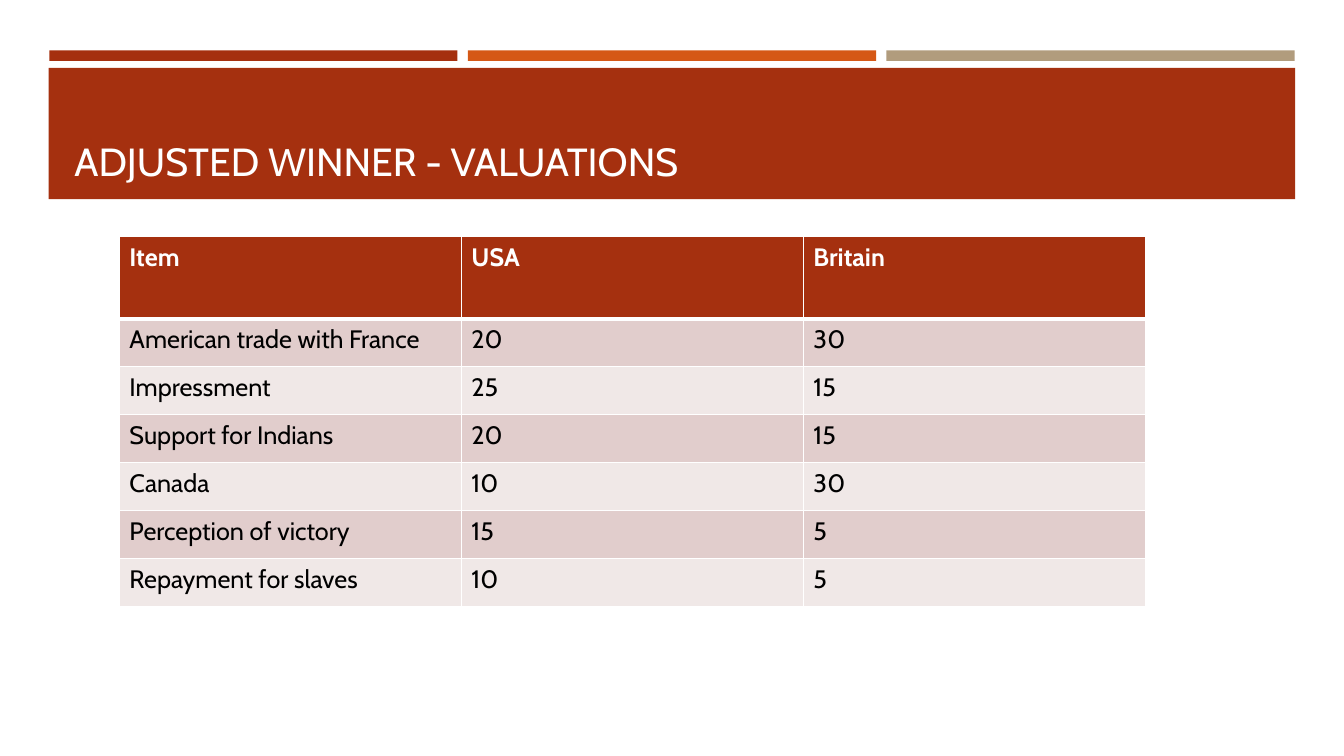
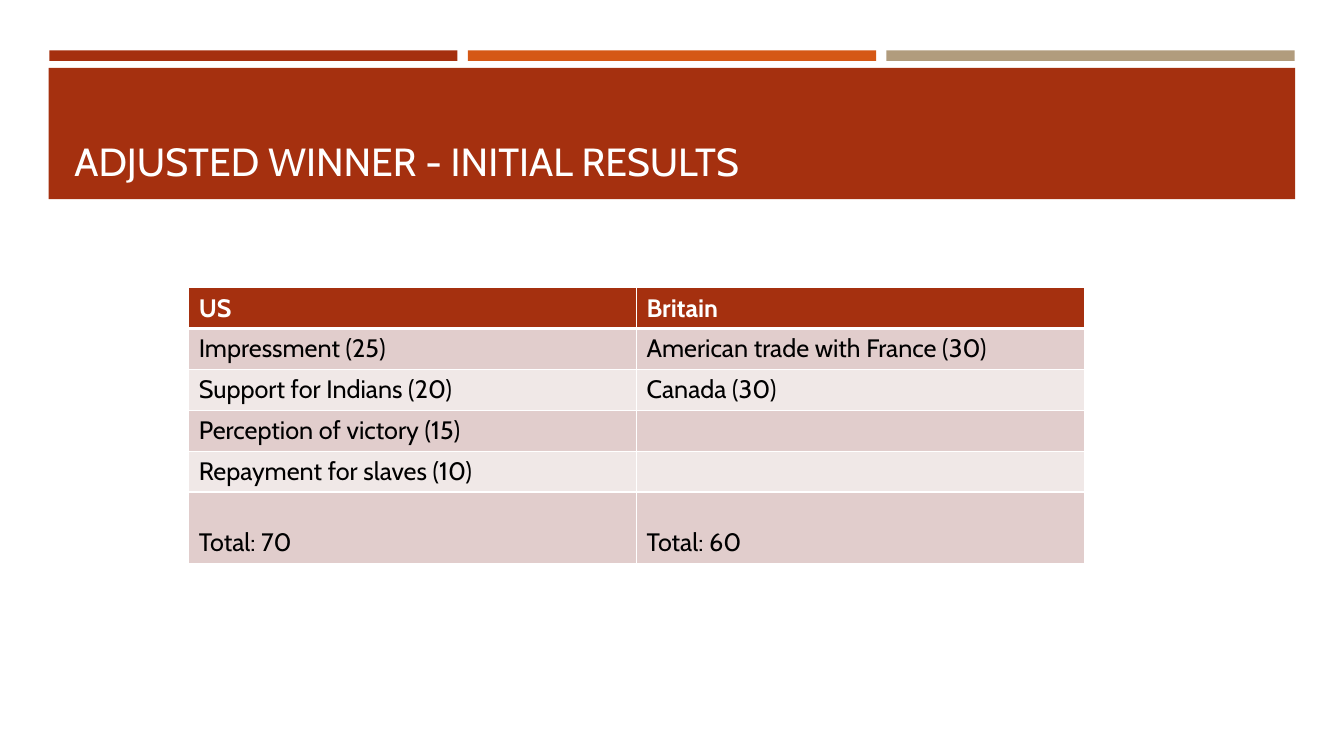
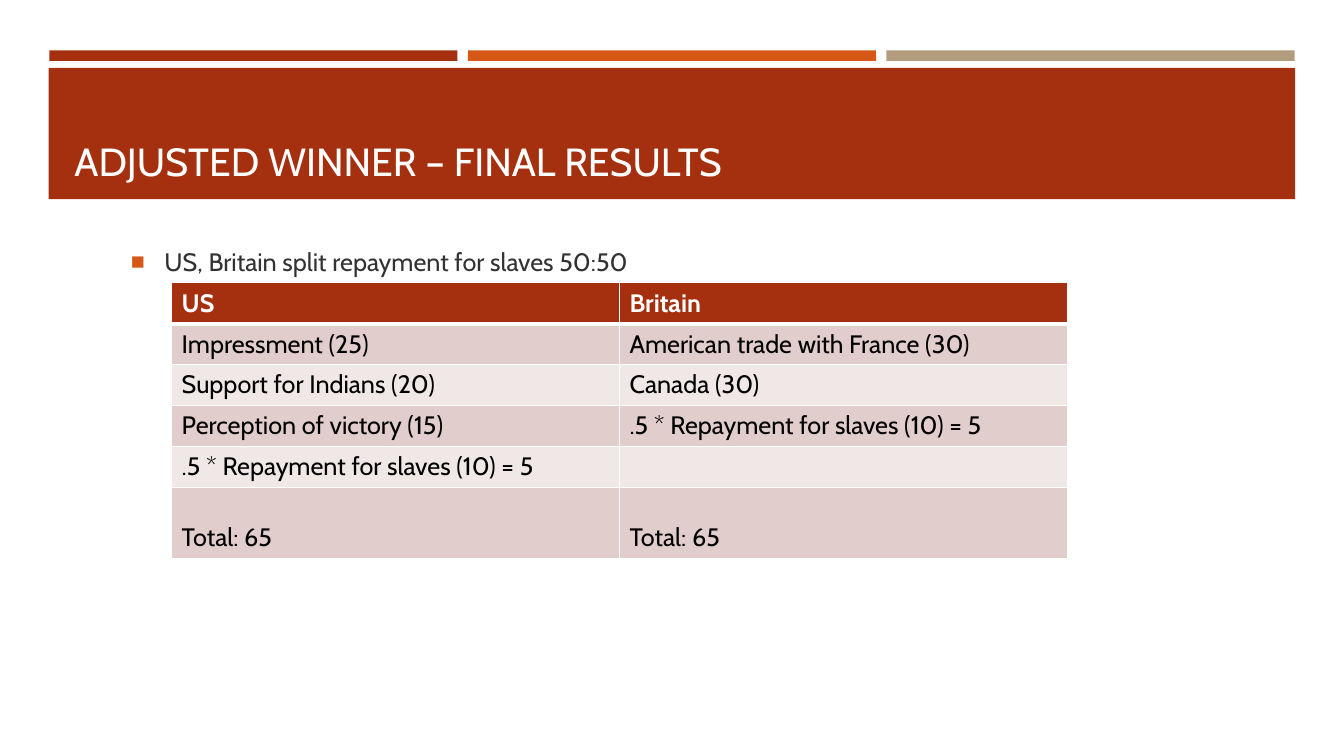
from lxml.etree import SubElement
from pptx import Presentation
from pptx.dml.color import RGBColor
from pptx.enum.shapes import MSO_SHAPE
from pptx.enum.text import MSO_ANCHOR
from pptx.oxml.ns import qn
from pptx.util import Pt

COLORS = {
    "rust": "A5300F", "orange": "D55816", "tan": "B19C7D",
    "rose": "E1CDCC", "blush": "F0E8E7",
    "white": "FFFFFF", "black": "000000", "gray": "323232",
}


def rgb(name):
    return RGBColor.from_string(COLORS[name])


class DeckBuilder:
    font = "Cabin"
    title_format = {"size": Pt(28)}
    text_format = {"size": Pt(18)}
    header_format = {"size": Pt(18), "bold": True}

    def __init__(self):
        self.deck = Presentation()
        self.deck.slide_width, self.deck.slide_height = Pt(960), Pt(540)
        self.page = None

    def add_page(self, title):
        self.page = self.deck.slides.add_slide(self.deck.slide_layouts[6])
        for index, color in enumerate(("rust", "orange", "tan")):
            self.add_band(35.2 + index * 299, 36, 291.6, 7.5, color)
        self.add_band(34.8, 48.5, 890.4, 93.8, "rust")
        self.add_text(title, (46.1, 55.4, 868.3, 79.9), MSO_ANCHOR.BOTTOM,
                      "white", self.title_format)

    def add_band(self, left, top, width, height, color):
        band = self.page.shapes.add_shape(
            MSO_SHAPE.RECTANGLE, Pt(left), Pt(top), Pt(width), Pt(height))
        band.shadow.inherit = False
        band.fill.solid()
        band.fill.fore_color.rgb = rgb(color)
        band.line.fill.background()

    def add_span(self, para, text, color, formats):
        span = para.add_run()
        span.text = text
        span.font.name = self.font
        span.font.color.rgb = rgb(color)
        for name, value in formats.items():
            setattr(span.font, name, value)

    def add_text(self, text, place, anchor, color, formats):
        box = self.page.shapes.add_textbox(*map(Pt, place))
        frame = box.text_frame
        frame.word_wrap = True
        frame.vertical_anchor = anchor
        para = frame.paragraphs[0]
        self.add_span(para, text, color, formats)
        return para

    def add_bullet(self, text, place):
        para = self.add_text(text, place, MSO_ANCHOR.MIDDLE, "gray", self.text_format)
        para.space_before, para.space_after = Pt(3.6), Pt(6)
        properties = para._p.get_or_add_pPr()
        properties.set("marL", str(Pt(24)))
        properties.set("indent", str(-Pt(24)))
        color = SubElement(properties, qn("a:buClr"))
        SubElement(color, qn("a:srgbClr"), val=COLORS["orange"])
        SubElement(properties, qn("a:buSzPct"), val="92000")
        SubElement(properties, qn("a:buFont"), typeface="Arial")
        SubElement(properties, qn("a:buChar"), char="■")

    def set_borders(self, cell, top, bottom):
        properties = cell._tc.get_or_add_tcPr()
        for side, width in (("L", 1), ("R", 1), ("T", top), ("B", bottom)):
            line = SubElement(properties, qn(f"a:ln{side}"), w=str(Pt(width)))
            fill = SubElement(line, qn("a:solidFill"))
            SubElement(fill, qn("a:srgbClr"), val=COLORS["white"])

    def add_table(self, rows, left, top, column_width, heights):
        columns = len(rows[0])
        table = self.page.shapes.add_table(
            len(rows), columns, Pt(left), Pt(top),
            Pt(column_width * columns), Pt(sum(heights))).table
        for column in table.columns:
            column.width = Pt(column_width)
        for index, (texts, height) in enumerate(zip(rows, heights)):
            table.rows[index].height = Pt(height)
            is_header = index == 0
            fill = "rust" if is_header else ("blush", "rose")[index % 2]
            color = "white" if is_header else "black"
            formats = self.header_format if is_header else self.text_format
            for cell, text in zip(table.rows[index].cells, texts):
                self.set_borders(cell, 3 if index == 1 else 1, 3 if is_header else 1)
                cell.fill.solid()
                cell.fill.fore_color.rgb = rgb(fill)
                if text:
                    self.add_span(cell.text_frame.paragraphs[0], text, color, formats)
                if text.startswith("Total"):
                    cell.vertical_anchor = MSO_ANCHOR.BOTTOM

    def add_results(self, rows, left, top):
        shared = [
            ("US", "Britain"),
            ("Impressment (25)", "American trade with France (30)"),
            ("Support for Indians (20)", "Canada (30)"),
        ]
        self.add_table(shared + rows, left, top, 319.9, [29.2] * 5 + [50.8])


def main():
    builder = DeckBuilder()

    builder.add_page("ADJUSTED WINNER - VALUATIONS")
    valuations = [
        ("Item", "USA", "Britain"),
        ("American trade with France", "20", "30"),
        ("Impressment", "25", "15"),
        ("Support for Indians", "20", "15"),
        ("Canada", "10", "30"),
        ("Perception of victory", "15", "5"),
        ("Repayment for slaves", "10", "5"),
    ]
    builder.add_table(valuations, 85.3, 169, 244.3, [58.7] + [34.3] * 6)

    builder.add_page("ADJUSTED WINNER - INITIAL RESULTS")
    builder.add_results([
        ("Perception of victory (15)", ""),
        ("Repayment for slaves (10)", ""),
        ("Total: 70", "Total: 60"),
    ], 134.8, 205.5)

    builder.add_page("ADJUSTED WINNER – FINAL RESULTS")
    builder.add_bullet("US, Britain split repayment for slaves 50:50",
                       (86.4, 41.8, 868.3, 289.4))
    half = ".5 * Repayment for slaves (10) = 5"
    builder.add_results([
        ("Perception of victory (15)", half),
        (half, ""),
        ("Total: 65", "Total: 65"),
    ], 122.6, 202)

    builder.deck.save("out.pptx")


if __name__ == "__main__":
    main()
